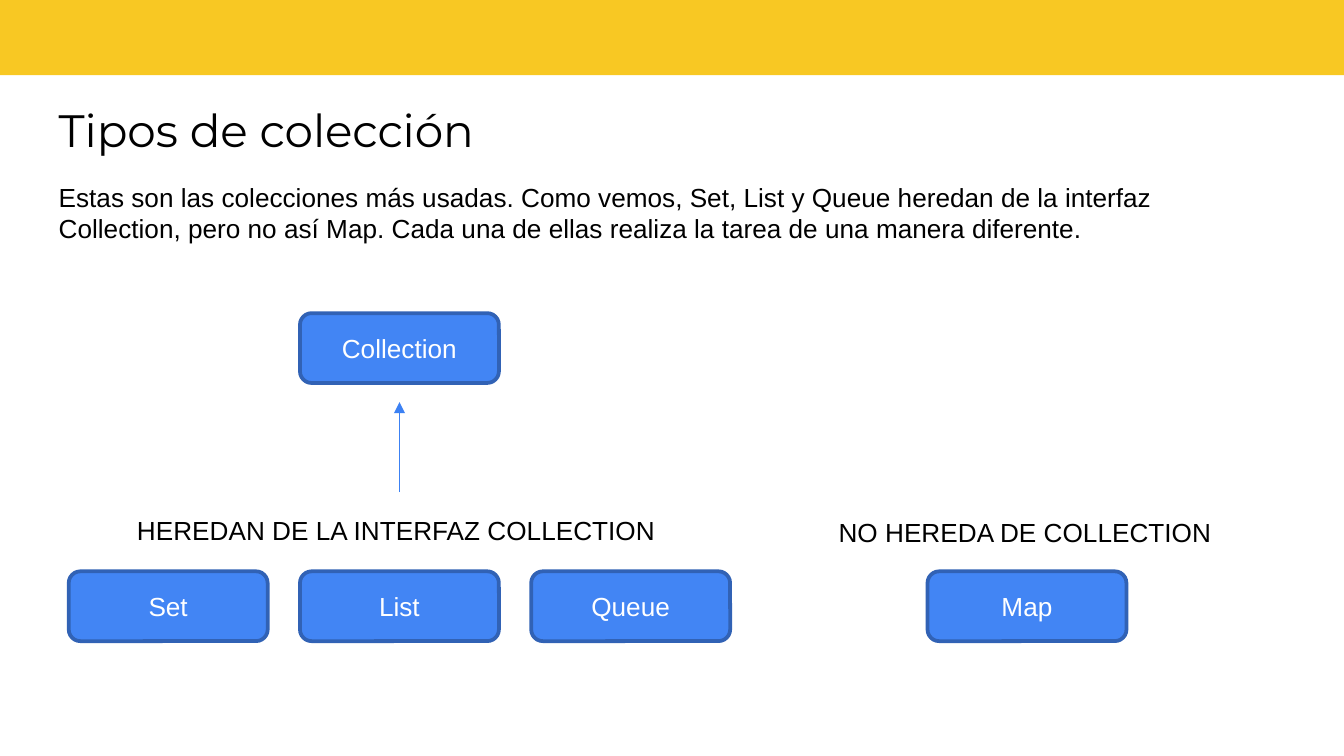
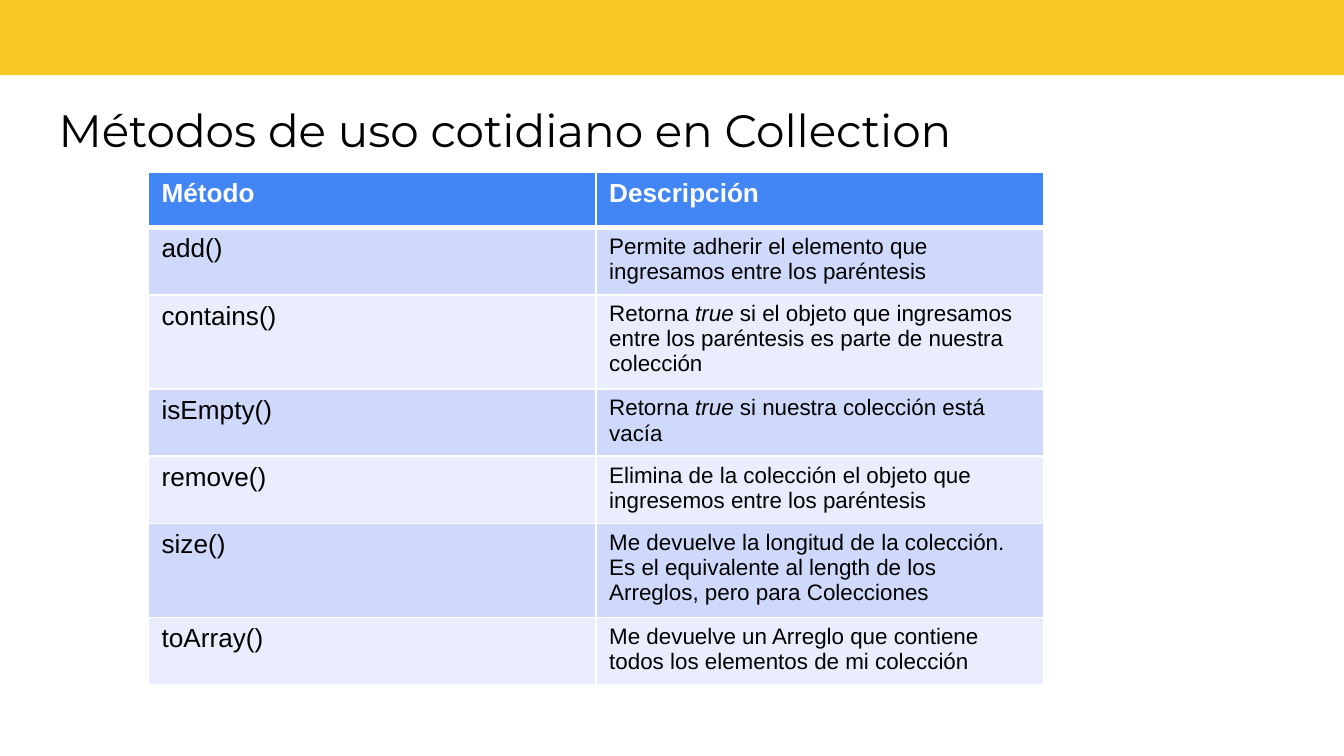
from dataclasses import dataclass

from lxml.etree import SubElement
from pptx import Presentation
from pptx.dml.color import RGBColor as RGB
from pptx.enum.shapes import MSO_CONNECTOR as Connector, MSO_SHAPE as Shape
from pptx.enum.text import MSO_ANCHOR as Anchor, MSO_AUTO_SIZE as AutoSize, PP_ALIGN as Align
from pptx.oxml.ns import qn
from pptx.util import Cm, Pt


@dataclass(frozen=True)
class Theme:
    band: RGB = RGB.from_string("F8C823")
    blue: RGB = RGB.from_string("4285F4")
    outline: RGB = RGB.from_string("3162B5")
    arrow: RGB = RGB.from_string("3C81F3")
    odd_row: RGB = RGB.from_string("CFD9FB")
    even_row: RGB = RGB.from_string("E9EDFD")
    black: RGB = RGB.from_string("000000")
    white: RGB = RGB.from_string("FFFFFF")
    title_font: str = "Montserrat"
    body_font: str = "Arial"
    title_size: Pt = Pt(24.3)
    body_size: Pt = Pt(14)
    small_size: Pt = Pt(12)


theme = Theme()


def write_text(frame, text, size=theme.body_size, color=theme.black, name=theme.body_font):
    """Fill the first paragraph and return it; text between asterisks is italic."""
    paragraph = frame.paragraphs[0]
    font = paragraph.font
    font.size, font.name, font.color.rgb = size, name, color
    for index, part in enumerate(text.split("*")):
        run = paragraph.add_run()
        run.text = part
        if index % 2:
            run.font.italic = True
    return paragraph


def add_titled_slide(title):
    slide = presentation.slides.add_slide(presentation.slide_layouts[6])
    band = slide.shapes.add_shape(Shape.RECTANGLE, Cm(-0.03), Cm(-0.13), Cm(25.48), Cm(1.55))
    band.shadow.inherit = False
    band.fill.solid()
    band.fill.fore_color.rgb = theme.band
    band.line.fill.background()
    frame = slide.shapes.add_textbox(Cm(0.86), Cm(1.65), Cm(23.62), Cm(1.6)).text_frame
    frame.word_wrap = True
    frame.vertical_anchor = Anchor.MIDDLE
    frame.margin_top = frame.margin_bottom = Cm(0.25)
    write_text(frame, title, theme.title_size, name=theme.title_font)
    return slide


presentation = Presentation()
presentation.slide_width, presentation.slide_height = Cm(25.4), Cm(14.29)

# Slide 1: collection types
slide = add_titled_slide("Tipos de colección")

box_width, box_height = 3.76, 1.32
first_left, box_step = 1.3, 4.37
parent_top, child_top = 5.92, 10.8
list_left = first_left + box_step
boxes = [
    ("Set", first_left, child_top),
    ("List", list_left, child_top),
    ("Queue", first_left + 2 * box_step, child_top),
    ("Map", 17.53, child_top),
    ("Collection", list_left, parent_top),
]
for label, left, top in boxes:
    box = slide.shapes.add_shape(
        Shape.ROUNDED_RECTANGLE, Cm(left), Cm(top), Cm(box_width), Cm(box_height))
    box.shadow.inherit = False
    box.fill.solid()
    box.fill.fore_color.rgb = theme.blue
    box.line.color.rgb = theme.outline
    box.line.width = Pt(2)
    box.text_frame.vertical_anchor = Anchor.MIDDLE
    write_text(box.text_frame, label, color=theme.white).alignment = Align.CENTER

arrow_x = Cm(list_left + box_width / 2)
arrow = slide.shapes.add_connector(Connector.STRAIGHT, arrow_x, Cm(9.3), arrow_x, Cm(7.6))
arrow.line.color.rgb = theme.arrow
arrow.line.width = Pt(0.75)
SubElement(arrow.line._get_or_add_ln(), qn("a:tailEnd"), type="triangle")
SubElement(arrow._element.spPr, qn("a:effectLst"))

texts = [
    ("HEREDAN DE LA INTERFAZ COLLECTION", 2.34, 9.6, 10.44, 0.86, False),
    ("NO HEREDA DE COLLECTION", 15.6, 9.63, 7.65, 0.86, False),
    ("Estas son las colecciones más usadas. Como vemos, Set, List y Queue heredan de la "
     "interfaz Collection, pero no así Map. Cada una de ellas realiza la tarea de una "
     "manera diferente.", 0.86, 3.3, 22.35, 1.45, True),
]
for text, left, top, width, height, wraps in texts:
    frame = slide.shapes.add_textbox(Cm(left), Cm(top), Cm(width), Cm(height)).text_frame
    frame.word_wrap = wraps
    frame.auto_size = AutoSize.SHAPE_TO_FIT_TEXT
    write_text(frame, text)

# Slide 2: everyday methods
slide = add_titled_slide("Métodos de uso cotidiano en Collection")

methods = [
    ("Método", "Descripción"),
    ("add()", "Permite adherir el elemento que ingresamos entre los paréntesis"),
    ("contains()", "Retorna *true* si el objeto que ingresamos entre los paréntesis "
                   "es parte de nuestra colección"),
    ("isEmpty()", "Retorna *true* si nuestra colección está vacía"),
    ("remove()", "Elimina de la colección el objeto que ingresemos entre los paréntesis"),
    ("size()", "Me devuelve la longitud de la colección. Es el equivalente al length "
               "de los Arreglos, pero para Colecciones"),
    ("toArray()", "Me devuelve un Arreglo que contiene todos los elementos de mi colección"),
]
row_height, column_width = 1.04, 8.46
table = slide.shapes.add_table(
    len(methods), 2, Cm(2.8), Cm(3.26), Cm(2 * column_width),
    Cm(row_height * len(methods))).table
table.horz_banding = False
for row_index, row in enumerate(methods):
    table.rows[row_index].height = Cm(row_height)
    is_header = row_index == 0
    row_fill = theme.blue if is_header else theme.odd_row if row_index % 2 else theme.even_row
    for column_index, text in enumerate(row):
        cell = table.cell(row_index, column_index)
        properties = cell._tc.get_or_add_tcPr()
        for side in ("L", "R", "T", "B"):
            under_header = (row_index, side) in ((0, "B"), (1, "T"))
            border = SubElement(properties, qn(f"a:ln{side}"), w=str(Pt(3 if under_header else 1)))
            border_fill = SubElement(border, qn("a:solidFill"))
            SubElement(border_fill, qn("a:srgbClr"), val=str(theme.white))
        cell.fill.solid()
        cell.fill.fore_color.rgb = row_fill
        size = theme.body_size if is_header or column_index == 0 else theme.small_size
        color = theme.white if is_header else theme.black
        write_text(cell.text_frame, text, size, color).font.bold = is_header

presentation.save("out.pptx")
